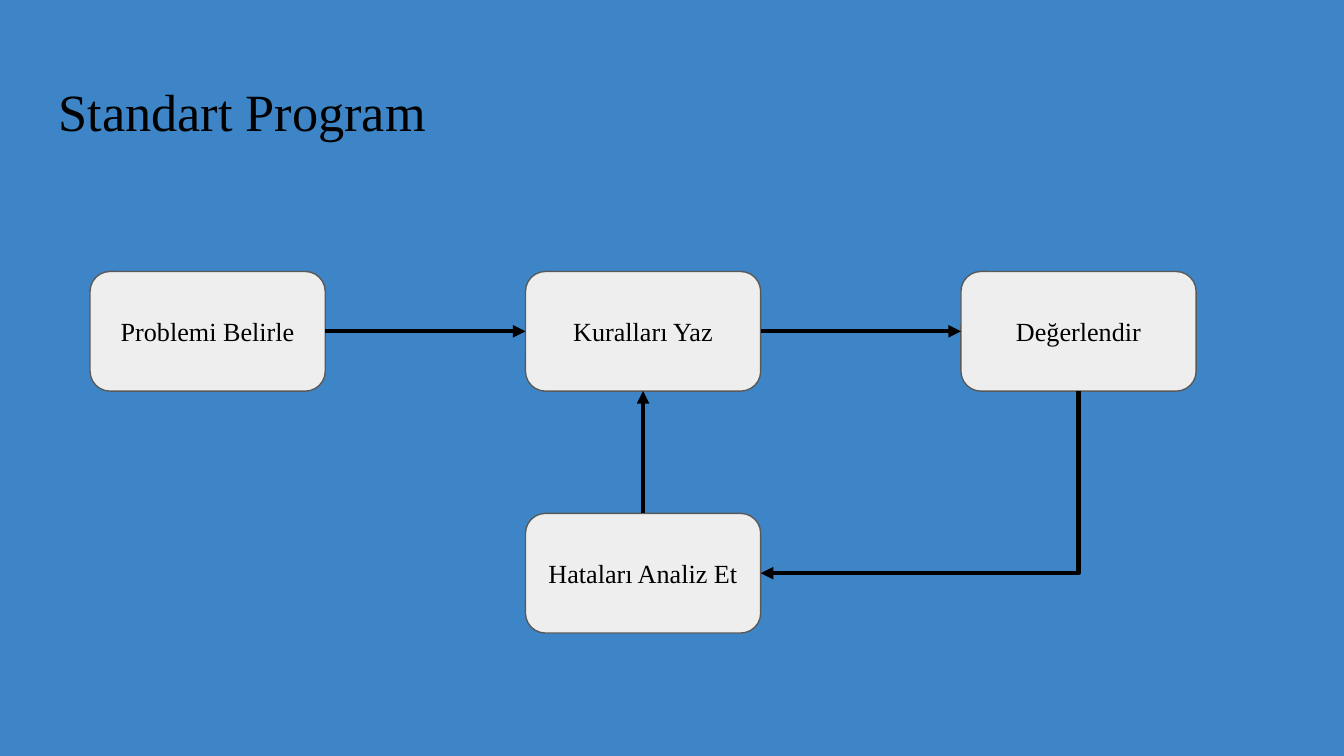
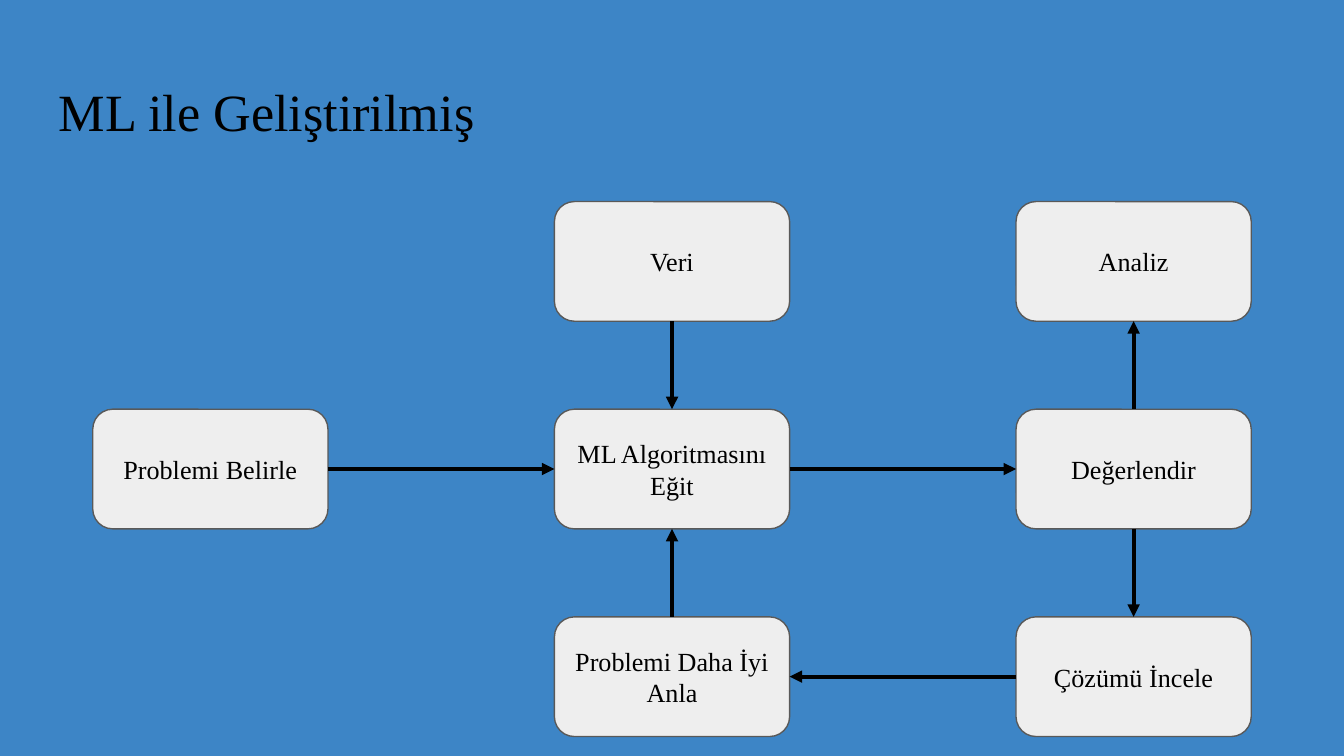
from dataclasses import dataclass

from lxml import etree
from pptx import Presentation
from pptx import util as u
from pptx.dml.color import RGBColor
from pptx.enum import shapes, text
from pptx.oxml import ns


@dataclass(frozen=True)
class Theme:
    """Colours, font, type sizes and line widths of the deck."""
    back: str = "3D85C6"
    fill: str = "EEEEEE"
    edge: str = "595959"
    ink: str = "000000"
    font: str = "Times New Roman"
    head: int = 28
    body: int = 14
    thin: float = 0.75
    thick: float = 2.25


THEME = Theme()
WIDE = 10
HIGH = WIDE * 9 / 16
BOX = (1.75, 0.89)
TOP, LEFT, BASE, RIGHT = range(4)


def tint(code):
    """Return a colour from its hex code."""
    return RGBColor.from_string(code)


def spread(first, last, count):
    """Return evenly spaced places from first to last."""
    step = (last - first) / (count - 1)
    return [first + step * i for i in range(count)]


def write(frame, words, size, align, anchor):
    """Put one styled run into a text frame."""
    frame.word_wrap = True
    frame.vertical_anchor = anchor
    frame.margin_left = frame.margin_right = u.Inches(0.1)
    frame.margin_top = frame.margin_bottom = u.Inches(0.1)
    para = frame.paragraphs[0]
    para.alignment = align
    run = para.add_run()
    run.text = words
    run.font.name = THEME.font
    run.font.size = u.Pt(size)
    run.font.color.rgb = tint(THEME.ink)


def add_page(deck, title):
    """Add a slide with the shared ground and title."""
    page = deck.slides.add_slide(deck.slide_layouts[6])
    ground = page.background.fill
    ground.solid()
    ground.fore_color.rgb = tint(THEME.back)
    box = page.shapes.add_textbox(*map(u.Inches, (0.34, 0.49, 9.32, 0.63)))
    write(box.text_frame, title, THEME.head, text.PP_ALIGN.LEFT, text.MSO_ANCHOR.TOP)
    return page


def add_step(page, words, x, y):
    """Add one rounded step of the flow."""
    kind = shapes.MSO_SHAPE.FLOWCHART_ALTERNATE_PROCESS
    step = page.shapes.add_shape(kind, *map(u.Inches, (x, y, *BOX)))
    step.shadow.inherit = False
    step.fill.solid()
    step.fill.fore_color.rgb = tint(THEME.fill)
    step.line.color.rgb = tint(THEME.edge)
    step.line.width = u.Pt(THEME.thin)
    write(step.text_frame, words, THEME.body, text.PP_ALIGN.CENTER, text.MSO_ANCHOR.MIDDLE)
    return step


def add_arrow(page, start, out, end, into):
    """Join two steps at the given sides with an arrow."""
    link = page.shapes.add_connector(shapes.MSO_CONNECTOR.STRAIGHT, 0, 0, 0, 0)
    link.begin_connect(start, out)
    link.end_connect(end, into)
    link.line.color.rgb = tint(THEME.ink)
    link.line.width = u.Pt(THEME.thick)
    props = link._element.spPr
    line = props.find(ns.qn("a:ln"))
    etree.SubElement(line, ns.qn("a:tailEnd"), type="triangle")
    etree.SubElement(props, ns.qn("a:effectLst"))
    return link


def bend(link):
    """Turn an arrow into an elbow that runs down, then left."""
    wide, high = link.width, link.height
    mid_x, mid_y = link.left + wide // 2, link.top + high // 2
    link.left, link.top = mid_x - high // 2, mid_y - wide // 2
    link.width, link.height = high, wide
    props = link._element.spPr
    frame = props.find(ns.qn("a:xfrm"))
    frame.attrib.pop("flipH", None)
    frame.set("rot", "5400000")
    props.find(ns.qn("a:prstGeom")).set("prst", "bentConnector2")


def add_flow(page, cols, rows, cells):
    """Add steps on a grid and return them by column and row."""
    return {(c, r): add_step(page, words, cols[c], rows[r])
            for (c, r), words in cells.items()}


def add_links(page, steps, links):
    """Add the straight arrows of a flow."""
    for start, out, end, into in links:
        add_arrow(page, steps[start], out, steps[end], into)


def plain_page(deck):
    """Build the slide on standard programs."""
    page = add_page(deck, "Standart Program")
    steps = add_flow(page, spread(0.67, 7.15, 3), spread(2.02, 3.82, 2), {
        (0, 0): "Problemi Belirle",
        (1, 0): "Kuralları Yaz",
        (2, 0): "Değerlendir",
        (1, 1): "Hataları Analiz Et",
    })
    add_links(page, steps, [
        ((0, 0), RIGHT, (1, 0), LEFT),
        ((1, 0), RIGHT, (2, 0), LEFT),
    ])
    bend(add_arrow(page, steps[2, 0], BASE, steps[1, 1], RIGHT))
    add_links(page, steps, [((1, 1), TOP, (1, 0), BASE)])


def smart_page(deck):
    """Build the slide on programs made with ML."""
    page = add_page(deck, "ML ile Geliştirilmiş")
    steps = add_flow(page, spread(0.69, 7.56, 3), spread(1.5, 4.59, 3), {
        (0, 1): "Problemi Belirle",
        (1, 1): "ML Algoritmasını Eğit",
        (2, 1): "Değerlendir",
        (2, 0): "Analiz",
        (1, 0): "Veri",
        (2, 2): "Çözümü İncele",
        (1, 2): "Problemi Daha İyi Anla",
    })
    add_links(page, steps, [
        ((0, 1), RIGHT, (1, 1), LEFT),
        ((1, 1), RIGHT, (2, 1), LEFT),
        ((2, 1), TOP, (2, 0), BASE),
        ((1, 0), BASE, (1, 1), TOP),
        ((2, 1), BASE, (2, 2), TOP),
        ((2, 2), LEFT, (1, 2), RIGHT),
        ((1, 2), TOP, (1, 1), BASE),
    ])


def main():
    """Build and save the deck."""
    deck = Presentation()
    deck.slide_width, deck.slide_height = u.Inches(WIDE), u.Inches(HIGH)
    plain_page(deck)
    smart_page(deck)
    deck.save("out.pptx")


if __name__ == "__main__":
    main()
